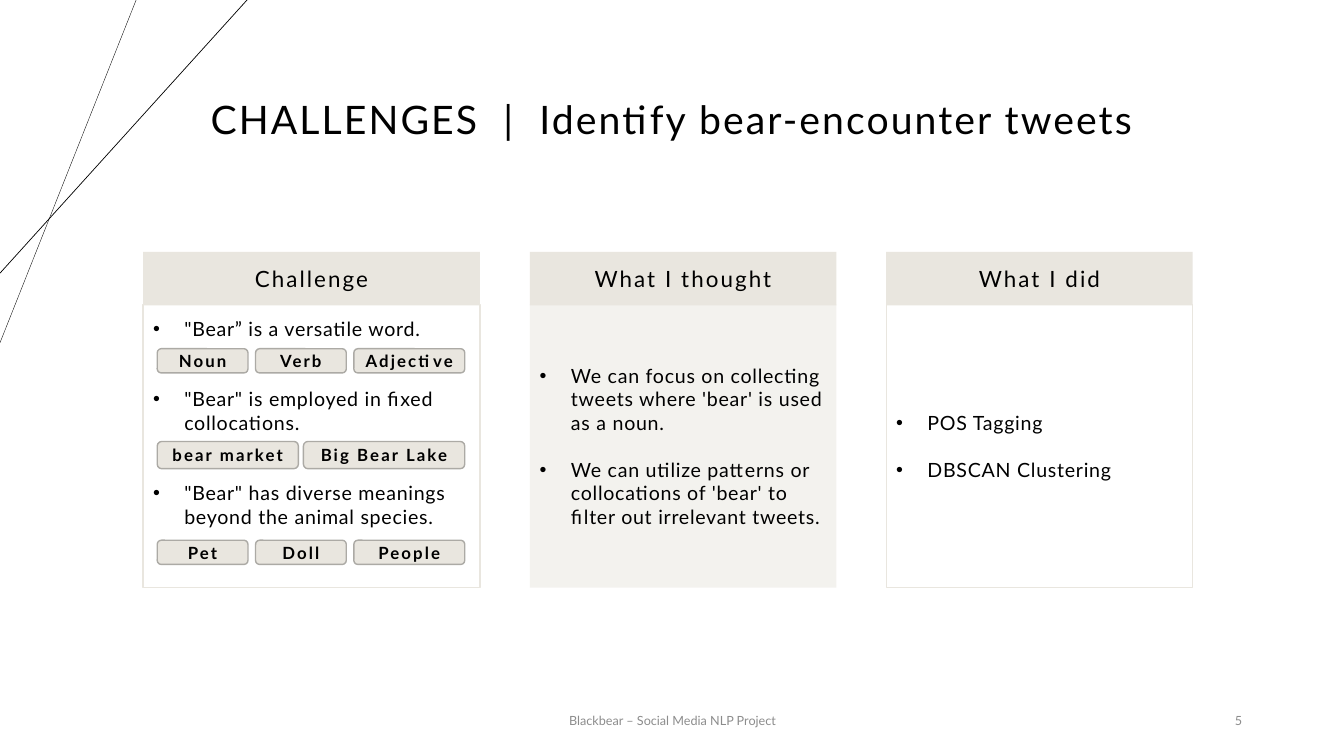
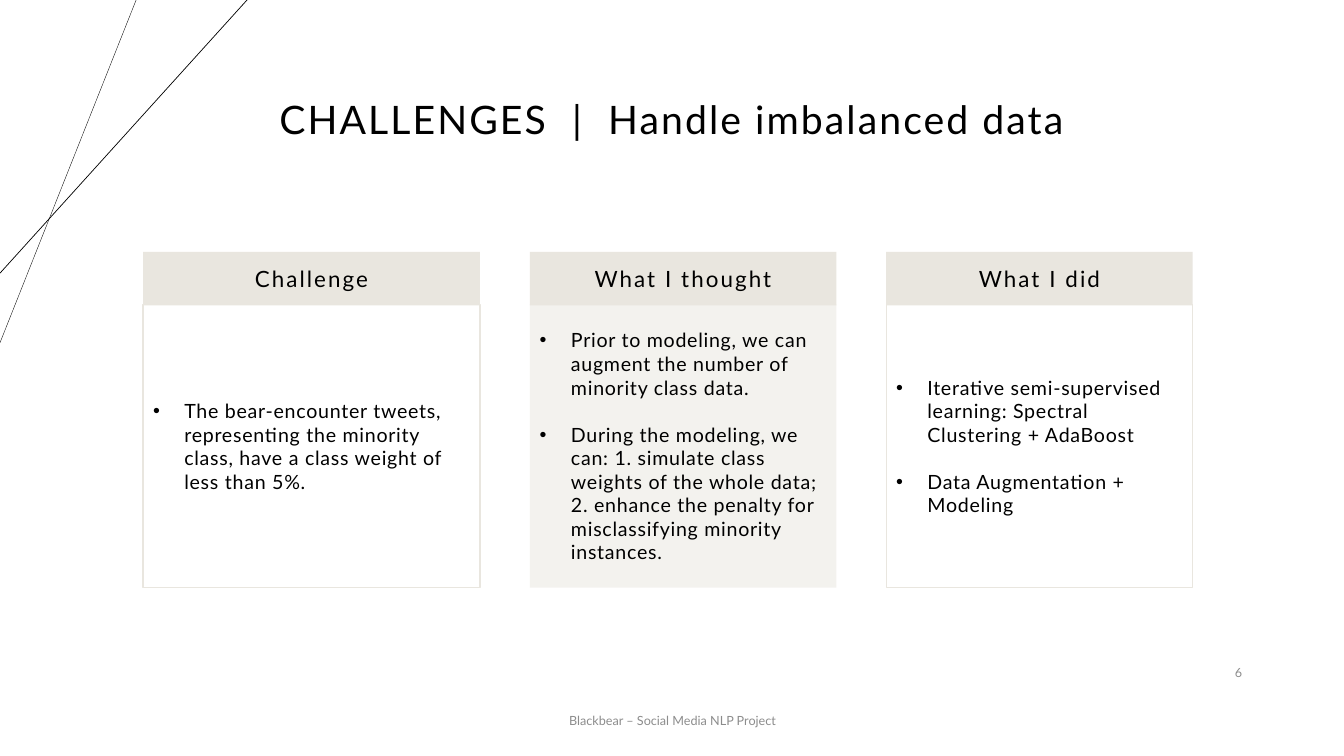
from pptx import Presentation
from pptx.dml.color import RGBColor
from pptx.enum.shapes import MSO_CONNECTOR, MSO_SHAPE
from pptx.enum.text import MSO_ANCHOR, MSO_AUTO_SIZE, PP_ALIGN
from pptx.oxml.ns import qn
from pptx.util import Inches, Pt
from lxml import etree

RECT, ROUND = MSO_SHAPE.RECTANGLE, MSO_SHAPE.ROUNDED_RECTANGLE
LEFT, MID, RIGHT = PP_ALIGN.LEFT, PP_ALIGN.CENTER, PP_ALIGN.RIGHT
BLACK = RGBColor(0x00, 0x00, 0x00)
GREY = RGBColor(0x8C, 0x8C, 0x8C)
SAND = RGBColor(0xE9, 0xE6, 0xDF)
EDGE = RGBColor(0xAC, 0xAA, 0xA5)
WIDE, HIGH = 13.33, 7.5

# Text styles
HEAD = {"size": Pt(16), "color": BLACK, "track": 150, "align": MID}
LIST = {"size": Pt(14), "color": BLACK, "track": 50, "align": LEFT}
CHIP = {"size": Pt(12), "color": BLACK, "track": 150, "align": MID, "bold": True}
TITLE = {"size": Pt(28), "color": BLACK, "track": 150, "align": MID}
FOOT = {"size": Pt(9), "color": GREY, "track": 0, "align": MID}
PAGE = {**FOOT, "align": RIGHT}

# Grid of the three columns
START, END, TOP = 1.42, 11.83, 2.5
BAR, BODY = 0.53, 2.81
HEADS = ["Challenge", "What I thought", "What I did"]
WIDTHS = [3.34, 3.04, 3.04]
GAP = (END - START - sum(WIDTHS)) / (len(WIDTHS) - 1)
LINE = 16.8  # height of a list line in points

# Rows of chips: top, height, labels with widths
CHIPS = [
    (3.46, 0.24, {"Noun": 0.9, "Verb": 0.9, "Adjective": 1.1}),
    (4.38, 0.27, {"bear market": 1.4, "Big Bear Lake": 1.6}),
    (5.36, 0.24, {"Pet": 0.9, "Doll": 0.9, "People": 1.1}),
]
INSET, SPAN = 0.14, 3.05

# Each slide: title, page number with its box, lists, blank lines, chips
SLIDES = [
    {"title": "CHALLENGES  |  Identify bear-encounter tweets",
     "page": "5", "spot": (6.95, 0.4), "chips": CHIPS,
     "lists": [
         ['"Bear” is a versatile word.',
          '"Bear" is employed in fixed collocations.',
          '"Bear" has diverse meanings beyond the animal species.'],
         ["We can focus on collecting tweets where 'bear' is used as a noun.",
          "We can utilize patterns or collocations of 'bear' to filter out "
          "irrelevant tweets."],
         ["POS Tagging", "DBSCAN Clustering"]]},
    {"title": "CHALLENGES  |  Handle imbalanced data",
     "page": "6", "spot": (6, 1.35), "chips": [],
     "lists": [
         ["The bear-encounter tweets, representing the minority class, have a "
          "class weight of less than 5%."],
         ["Prior to modeling, we can augment the number of minority class data.",
          "During the modeling, we can: 1. simulate class weights of the whole "
          "data; 2. enhance the penalty for misclassifying minority instances."],
         ["Iterative semi-supervised learning: Spectral Clustering + AdaBoost",
          "Data Augmentation + Modeling"]]},
]


def write(shape, texts, style, space=0):
    frame = shape.text_frame
    frame.word_wrap = True
    frame.auto_size = MSO_AUTO_SIZE.NONE
    frame.vertical_anchor = MSO_ANCHOR.MIDDLE
    for i, text in enumerate(texts):
        para = frame.add_paragraph() if i else frame.paragraphs[0]
        para.alignment = style["align"]
        para.space_before = Pt(space if i else 0)
        run = para.add_run()
        run.text = text
        run.font.color.rgb = style["color"]
        looks = {"name": "Lato", "size": style["size"], "bold": style.get("bold", False)}
        for key, value in looks.items():
            setattr(run.font, key, value)
    for mark in shape.element.iter(qn("a:rPr")):
        mark.set("spc", str(style["track"]))


def block(group, kind, box, fill=None, edge=None):
    shape = group.shapes.add_shape(kind, *map(Inches, box))
    shape.shadow.inherit = False
    for part, color in ((shape.fill, fill), (shape.line.fill, edge)):
        if color is None:
            part.background()
        else:
            part.solid()
            part.fore_color.rgb = color
    if edge is not None:
        shape.line.width = Pt(1)
    return shape


deck = Presentation()
deck.slide_width, deck.slide_height = Inches(WIDE), Inches(HIGH)
plan = deck.slide_layouts.get_by_name("Title Only")

for n, page in enumerate(SLIDES):
    slide = deck.slides.add_slide(plan)

    # Corner lines, moved to the master once
    if n == 0:
        for x, y, width in ((1.35, 3.4, 0.25), (2.45, 2.71, 0.5)):
            line = slide.shapes.add_connector(
                MSO_CONNECTOR.STRAIGHT, Inches(x), 0, 0, Inches(y))
            line.line.color.rgb = BLACK
            line.line.width = Pt(width)
            etree.SubElement(line.element.spPr, qn("a:effectLst"))
            deck.slide_master.shapes.element.append(line.element)

    # Title
    title = slide.shapes.title
    place = {"left": 0, "top": 0.76, "width": WIDE, "height": 0.9}
    for key, value in place.items():
        setattr(title, key, Inches(value))
    write(title, [page["title"]], TITLE)
    title.text_frame.paragraphs[0].line_spacing = 0.9

    # Footer and page number
    top, high = page["spot"]
    for text, box, style in (
            ("Blackbear – Social Media NLP Project", (4.42, 6.95, 4.5, 0.4), FOOT),
            (page["page"], (9.42, top, 3, high), PAGE)):
        write(slide.shapes.add_textbox(*map(Inches, box)), [text], style)

    # Columns: a bar over a bulleted list
    x = START
    for col, (head, wide, items) in enumerate(zip(HEADS, WIDTHS, page["lists"])):
        group = slide.shapes.add_group_shape()
        write(block(group, RECT, (x, TOP, wide, BAR), SAND), [head], HEAD)
        tint = col == 1
        body = block(group, RECT, (x, TOP + BAR - 0.01, wide, BODY),
                     SAND if tint else None, None if tint else SAND)
        if tint:
            tone = body.element.spPr.find(qn("a:solidFill"))[0]
            etree.SubElement(tone, qn("a:alpha"), val="50000")
        rows = page["chips"] if col == 0 else []
        write(body, items, LIST, LINE * (2 if rows else 1))
        for prop in body.element.iter(qn("a:pPr")):
            prop.set("marL", str(Inches(0.31)))
            prop.set("indent", str(-Inches(0.31)))
            etree.SubElement(prop, qn("a:buFont"), typeface="Arial")
            etree.SubElement(prop, qn("a:buChar"), char="•")
        if rows:
            body.text_frame.margin_bottom = Inches(0.05) + Pt(2 * LINE)

        # Chips spread evenly over the span
        for top, high, labels in rows:
            left = x + INSET
            gap = (SPAN - sum(labels.values())) / (len(labels) - 1)
            for label, size in labels.items():
                chip = block(group, ROUND, (left, top, size, high), SAND, EDGE)
                for side in ("left", "right", "top", "bottom"):
                    setattr(chip.text_frame, "margin_" + side, 0)
                write(chip, [label], CHIP)
                left += size + gap
        x += wide + GAP

deck.save("out.pptx")
